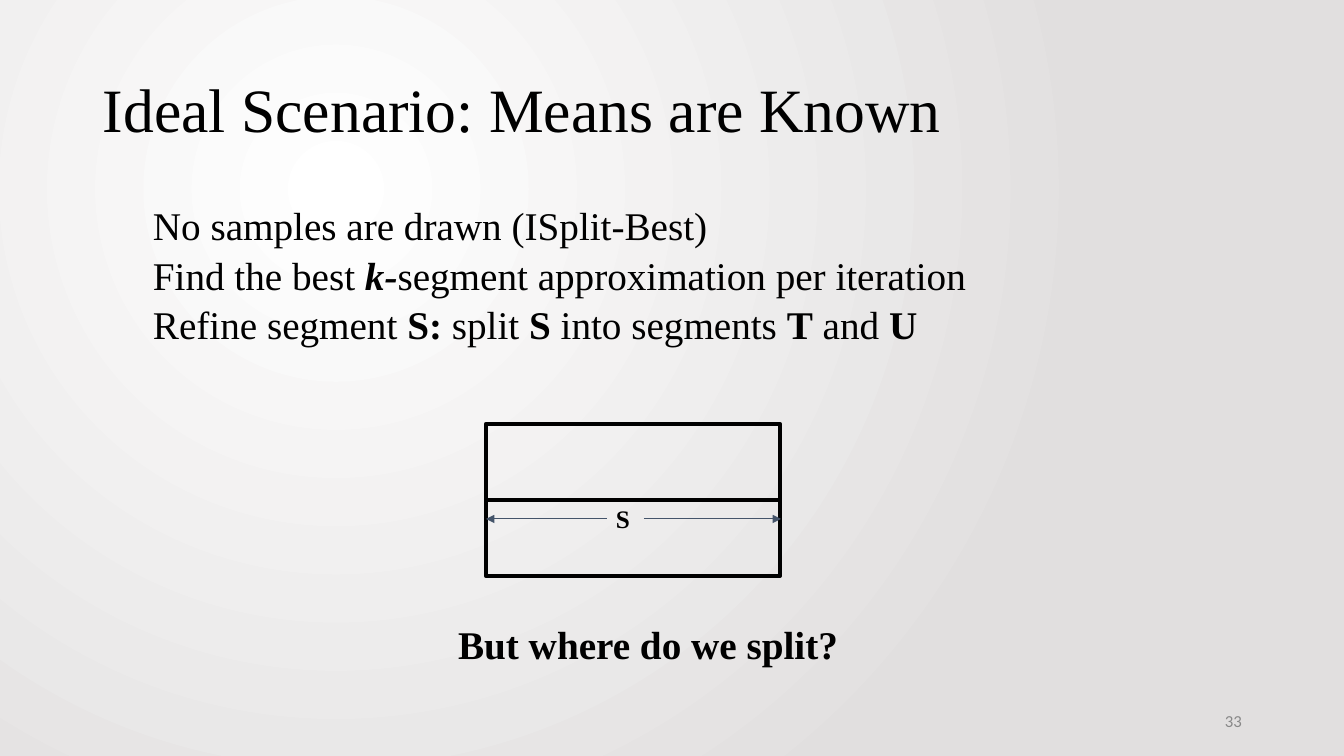
from lxml.etree import SubElement
from pptx import Presentation
from pptx.dml.color import RGBColor
from pptx.enum.shapes import MSO_CONNECTOR, MSO_SHAPE
from pptx.enum.text import MSO_ANCHOR as ANCHOR, PP_ALIGN as ALIGN
from pptx.oxml.ns import qn
from pptx.util import Pt

PX = 914400 / 100.8
BLACK = RGBColor(0x00, 0x00, 0x00)
WHITE = RGBColor(0xFF, 0xFF, 0xFF)
PALE_GRAY = RGBColor(0xE1, 0xDF, 0xDF)
PAGE_GRAY = RGBColor(0x88, 0x88, 0x88)
SLATE = RGBColor(0x44, 0x54, 0x6A)
SERIF = "Times New Roman"
INDENT = 50
BODY = [
    [("No samples are drawn (ISplit-Best)", "")],
    [("Find the best ", ""), ("k-", "bi"), ("segment approximation per iteration", "")],
    [("Refine segment ", ""), ("S: ", "b"), ("split ", ""), ("S", "b"),
     (" into segments ", ""), ("T", "b"), (" and ", ""), ("U", "b")],
]


def px(*lengths):
    """Turn pixel lengths into EMU."""
    return [round(length * PX) for length in lengths]


def set_background(slide):
    """Fill the background with a circular gradient."""
    fill = slide.background.fill
    fill.gradient()
    for stop, position, color in zip(fill.gradient_stops, (0, 1), (WHITE, PALE_GRAY)):
        stop.position = position
        stop.color.rgb = color
    gradient = slide.background._cSld.find(".//" + qn("a:gradFill"))
    linear = gradient.find(qn("a:lin"))
    if linear is not None:
        gradient.remove(linear)
    circle = SubElement(gradient, qn("a:path"), {"path": "circle"})
    SubElement(circle, qn("a:fillToRect"), l="50000", t="50000", r="100000", b="100000")


def add_text(slide, box, lines, size, color=BLACK, font=SERIF, align=ALIGN.LEFT,
             anchor=ANCHOR.TOP, indent=0, spacing=0.9, inset=5):
    """Add a text box whose lines are lists of (text, style) runs."""
    frame = slide.shapes.add_textbox(*px(*box)).text_frame
    frame.word_wrap = True
    frame.vertical_anchor = anchor
    frame.margin_left, frame.margin_right = px(10, 10)
    frame.margin_top, frame.margin_bottom = px(inset, inset)
    for index, line in enumerate(lines):
        paragraph = frame.add_paragraph() if index else frame.paragraphs[0]
        paragraph.alignment = align
        paragraph.line_spacing = spacing
        if index:
            paragraph.space_before = Pt(5)
        if indent:
            paragraph._p.get_or_add_pPr().set("marL", str(px(indent)[0]))
        for text, style in line:
            run = paragraph.add_run()
            run.text = text
            run.font.name = font
            run.font.size = Pt(size)
            run.font.color.rgb = color
            run.font.bold = "b" in style
            run.font.italic = "i" in style


def add_segment(slide, box):
    """Add the outlined rectangle of a segment."""
    shape = slide.shapes.add_shape(MSO_SHAPE.RECTANGLE, *px(*box))
    shape.shadow.inherit = False
    shape.fill.background()
    shape.line.color.rgb = BLACK
    shape.line.width = Pt(3)
    return shape


def add_line(slide, start, end, color, width, arrow=False):
    """Add a straight line, with an arrowhead at its end if asked."""
    line = slide.shapes.add_connector(MSO_CONNECTOR.STRAIGHT, *px(*start, *end))
    line.line.color.rgb = color
    line.line.width = Pt(width)
    if arrow:
        SubElement(line.line._get_or_add_ln(), qn("a:tailEnd"), type="triangle")
    SubElement(line._element.spPr, qn("a:effectLst"))
    return line


def main():
    """Build the slide and save it."""
    presentation = Presentation()
    presentation.slide_width, presentation.slide_height = px(1344, 756)
    slide = presentation.slides.add_slide(presentation.slide_layouts[6])
    set_background(slide)

    segment = add_segment(slide, (486, 424, 294, 152))
    add_text(slide, (93, 40, 1159, 146), [[("Ideal Scenario: Means are Known", "")]], 44,
             anchor=ANCHOR.MIDDLE)
    add_text(slide, (93, 202, 1060, 135), BODY, 28, indent=INDENT)
    add_text(slide, (950, 701, 302, 40), [[("33", "")]], 12, PAGE_GRAY, "Calibri",
             ALIGN.RIGHT, ANCHOR.MIDDLE, spacing=1)

    for start, end in ((644, 781), (607, 486)):
        add_line(slide, (start, 519), (end, 519), SLATE, 0.75, arrow=True)
    add_text(slide, (606, 493, 38, 54), [[("S", "b")]], 18, spacing=1, inset=10)
    mean = add_line(slide, (486, 500), (780, 500), BLACK, 2.25)
    mean.begin_connect(segment, 1)
    mean.end_connect(segment, 3)

    add_text(slide, (205, 621, 836, 62), [[("But where do we split?", "b")]], 28,
             align=ALIGN.CENTER, indent=INDENT)
    presentation.save("out.pptx")


if __name__ == "__main__":
    main()
